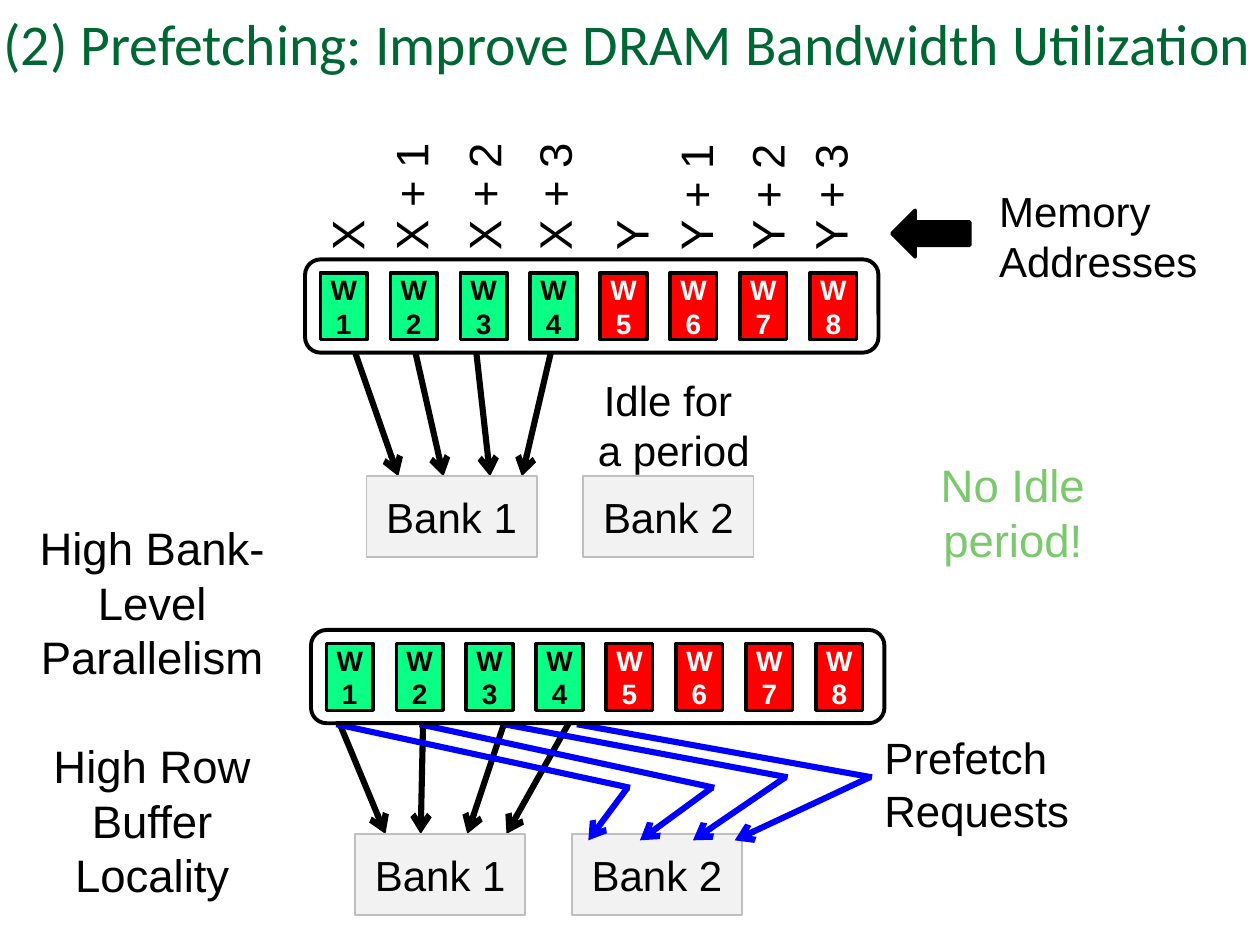
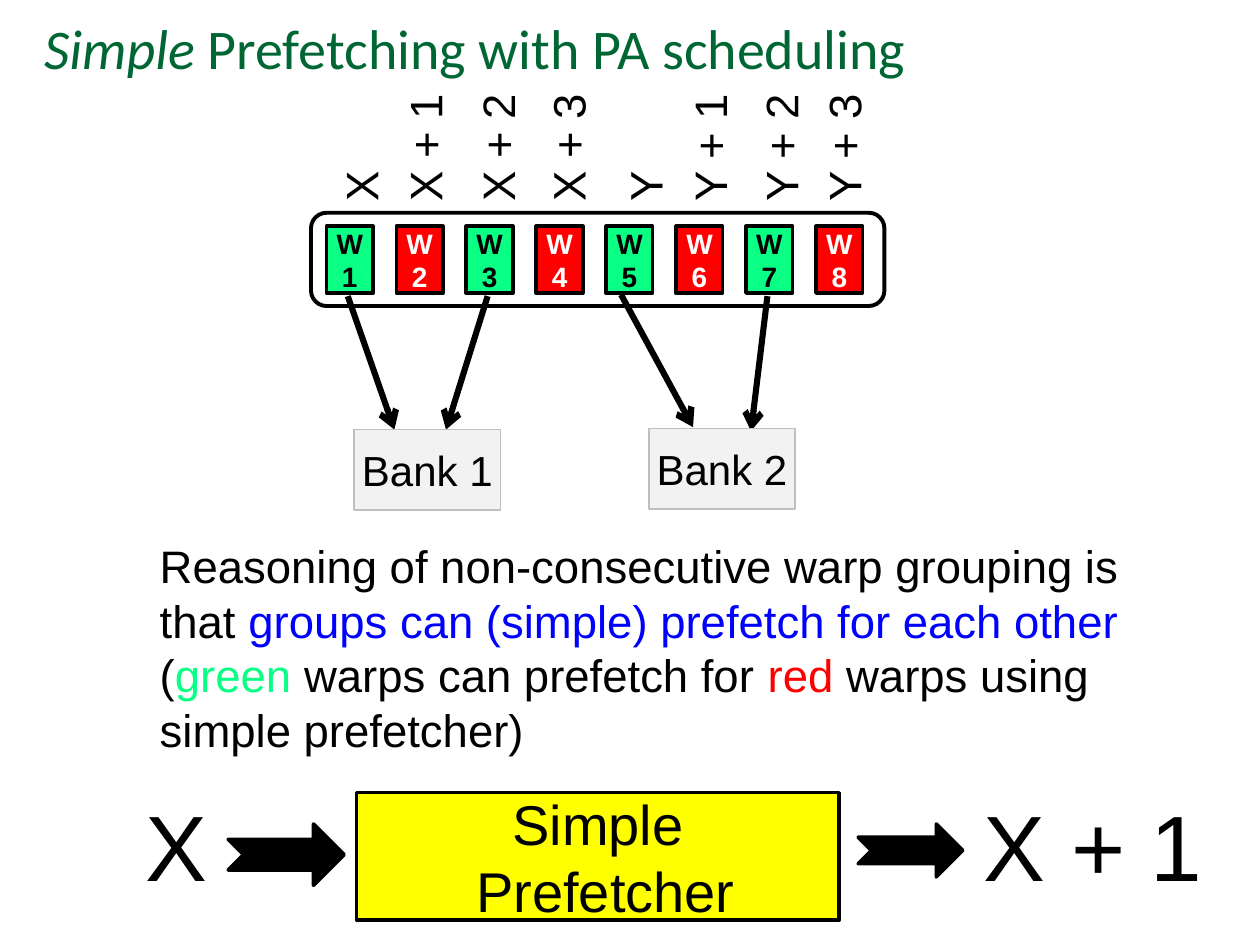
from dataclasses import dataclass
from typing import NamedTuple

from lxml.etree import SubElement
from pptx import Presentation
from pptx.dml.color import RGBColor
from pptx.enum.shapes import MSO_CONNECTOR, MSO_SHAPE
from pptx.enum.text import MSO_ANCHOR as Anchor, PP_ALIGN as Align
from pptx.oxml.ns import qn
from pptx.shapes.autoshape import Shape
from pptx.slide import Slide
from pptx.util import Cm, Pt

BLACK = RGBColor(0x00, 0x00, 0x00)
WHITE = RGBColor(0xFF, 0xFF, 0xFF)
TITLE_GREEN = RGBColor(0x00, 0x66, 0x33)
WARP_GREEN = RGBColor(0x0A, 0xFF, 0x85)
WARP_RED = RGBColor(0xFF, 0x00, 0x00)
PREFETCH_BLUE = RGBColor(0x00, 0x00, 0xFF)
IDLE_GREEN = RGBColor(0x7A, 0xC9, 0x6C)
BANK_FILL = RGBColor(0xF2, 0xF2, 0xF2)
BANK_EDGE = RGBColor(0xBF, 0xBF, 0xBF)
YELLOW = RGBColor(0xFF, 0xFF, 0x00)

BODY_FONT = "Arial"
TITLE_FONT = "Calibri"
DEFAULT_INSETS = (0.25, 0.13)
TIGHT_INSETS = (0.13, 0.08)
BANK_HEIGHT = 1.63
WARP_COUNT = 8
WARP_PITCH = 1.41

ADDRESS_OFFSETS = {
    "X": 0, "X + 1": 1.29, "X + 2": 2.76, "X + 3": 4.18,
    "Y": 5.73, "Y + 1": 7.03, "Y + 2": 8.47, "Y + 3": 9.74,
}


class Box(NamedTuple):
    left: float
    top: float
    width: float
    height: float

    def lengths(self) -> list[Cm]:
        return [Cm(value) for value in self]


class Span(NamedTuple):
    text: str
    color: RGBColor | None = None
    italic: bool = False


class Arrow(NamedTuple):
    x1: float
    y1: float
    x2: float
    y2: float


@dataclass
class Style:
    size: float
    color: RGBColor = BLACK
    font: str = BODY_FONT
    bold: bool = False
    align: Align = Align.LEFT
    anchor: Anchor = Anchor.TOP
    insets: tuple[float, float] = DEFAULT_INSETS
    gap: float = 0


@dataclass
class Label:
    box: Box
    paragraphs: list[str | list[Span]]
    style: Style


def write(shape: Shape, paragraphs: list[str | list[Span]], style: Style) -> None:
    frame = shape.text_frame
    frame.word_wrap = True
    frame.vertical_anchor = style.anchor
    frame.margin_left = frame.margin_right = Cm(style.insets[0])
    frame.margin_top = frame.margin_bottom = Cm(style.insets[1])
    for index, content in enumerate(paragraphs):
        paragraph = frame.add_paragraph() if index else frame.paragraphs[0]
        paragraph.alignment = style.align
        if index and style.gap:
            paragraph.space_before = Pt(style.gap)
        font = paragraph.font
        font.name, font.size, font.bold = style.font, Pt(style.size), style.bold
        font.color.rgb = style.color
        spans = [Span(content)] if isinstance(content, str) else content
        for span in spans:
            run = paragraph.add_run()
            run.text = span.text
            if span.color is not None:
                run.font.color.rgb = span.color
            if span.italic:
                run.font.italic = True


def draw_label(slide: Slide, label: Label) -> Shape:
    holder = slide.shapes.add_textbox(*label.box.lengths())
    write(holder, label.paragraphs, label.style)
    return holder


def draw_shape(slide: Slide, preset: MSO_SHAPE, box: Box, fill: RGBColor,
               edge: RGBColor = BLACK, weight: float = 2) -> Shape:
    shape = slide.shapes.add_shape(preset, *box.lengths())
    shape.shadow.inherit = False
    shape.fill.solid()
    shape.fill.fore_color.rgb = fill
    shape.line.color.rgb = edge
    shape.line.width = Pt(weight)
    return shape


def draw_line(slide: Slide, arrow: Arrow, color: RGBColor = BLACK, head: bool = True) -> None:
    ends = [Cm(value) for value in arrow]
    connector = slide.shapes.add_connector(MSO_CONNECTOR.STRAIGHT, *ends)
    connector.line.color.rgb = color
    connector.line.width = Pt(3.5)
    properties = connector._element.spPr
    if head:
        SubElement(properties.find(qn("a:ln")), qn("a:tailEnd"), type="arrow")
    SubElement(properties, qn("a:effectLst"))


def draw_title(slide: Slide, box: Box, spans: list[Span], size: float) -> None:
    draw_label(slide, Label(box, [spans], Style(size, TITLE_GREEN, TITLE_FONT)))


def draw_bank(slide: Slide, number: int, left: float, top: float, width: float) -> None:
    bank = draw_shape(slide, MSO_SHAPE.RECTANGLE, Box(left, top, width, BANK_HEIGHT),
                      BANK_FILL, BANK_EDGE, 1)
    write(bank, [f"Bank {number}"],
          Style(24, align=Align.CENTER, anchor=Anchor.MIDDLE, insets=(0, 0)))


def draw_warp_queue(slide: Slide, left: float, top: float, green_warps: set[int]) -> None:
    draw_shape(slide, MSO_SHAPE.ROUNDED_RECTANGLE, Box(left, top, 11.56, 1.88), WHITE, weight=2.25)
    for index in range(WARP_COUNT):
        number = index + 1
        is_green = number in green_warps
        warp = draw_shape(slide, MSO_SHAPE.RECTANGLE,
                          Box(left + 0.31 + index * WARP_PITCH, top + 0.27, 0.94, 1.35),
                          WARP_GREEN if is_green else WARP_RED)
        write(warp, [f"W{number}"],
              Style(16, BLACK if is_green else WHITE, bold=True, align=Align.CENTER,
                    anchor=Anchor.MIDDLE, insets=TIGHT_INSETS))


def draw_addresses(slide: Slide, first_center: float, bottom: float) -> None:
    height = 1.24
    for address, offset in ADDRESS_OFFSETS.items():
        length = 2.01 if address == "X" else 2.64
        box = Box(first_center + offset - length / 2, bottom - (length + height) / 2, length, height)
        label = draw_label(slide, Label(box, [address], Style(26, insets=TIGHT_INSETS)))
        label.rotation = 270


def build_bandwidth_slide(slide: Slide) -> None:
    idle_requests = [(7.09, 8.03), (8.33, 8.94), (9.58, 9.88), (11.15, 10.52)]
    for start, end in idle_requests:
        draw_line(slide, Arrow(start, 6.91, end, 9.6))
    for number, left in enumerate((7.39, 11.76), 1):
        draw_bank(slide, number, left, 9.6, 3.43)
    draw_addresses(slide, 6.97, 5.18)
    draw_shape(slide, MSO_SHAPE.LEFT_ARROW, Box(17.98, 4.24, 1.57, 0.94), BLACK)
    draw_title(slide, Box(-0.18, 0.03, 25.83, 2.11),
               [Span("(2) Prefetching: Improve DRAM Bandwidth Utilization")], 33)
    draw_warp_queue(slide, 6.15, 5.23, {1, 2, 3, 4})

    demand_requests = [(6.81, 7.77), (10.19, 9.42), (11.51, 10.21), (8.53, 8.48)]
    for start, end in demand_requests:
        draw_line(slide, Arrow(start, 14.5, end, 16.81))
    for number, left in enumerate((7.16, 11.53), 1):
        draw_bank(slide, number, left, 16.81, 3.43)
    prefetches = [
        (6.78, 12.7, 15.88, 11.86),
        (8.46, 14.4, 15.88, 12.9),
        (10.16, 15.88, 15.67, 13.97),
        (11.63, 17.58, 15.67, 14.81),
    ]
    for start, bend_x, bend_y, end in prefetches:
        draw_line(slide, Arrow(start, 14.6, bend_x, bend_y), PREFETCH_BLUE, head=False)
        draw_line(slide, Arrow(bend_x - 0.05, bend_y, end, 16.94), PREFETCH_BLUE)
    draw_warp_queue(slide, 6.27, 12.7, {1, 2, 3, 4})

    labels = [
        Label(Box(19.89, 3.61, 4.88, 2.31), ["Memory Addresses"], Style(24)),
        Label(Box(8.71, 7.42, 9.75, 2.31), ["Idle for ", "a period"],
              Style(24, align=Align.CENTER)),
        Label(Box(17.58, 14.61, 7.82, 2.39), ["Prefetch", "Requests"], Style(25)),
        Label(Box(17.98, 9.09, 4.88, 2.57), ["No Idle period!"],
              Style(26, IDLE_GREEN, align=Align.CENTER)),
        Label(Box(0.43, 10.36, 5.28, 8.03),
              ["High Bank-Level Parallelism", "High Row Buffer Locality"],
              Style(26, align=Align.CENTER, gap=31)),
    ]
    for label in labels:
        draw_label(slide, label)


def build_scheduling_slide(slide: Slide) -> None:
    draw_title(slide, Box(0.64, 0.15, 24.77, 2.11),
               [Span("Simple ", italic=True), Span("Prefetching with PA scheduling")], 32)
    draw_warp_queue(slide, 6.27, 4.29, {1, 3, 5, 7})
    requests = [
        Arrow(7.01, 5.97, 7.95, 8.66),
        Arrow(9.83, 5.97, 8.99, 8.66),
        Arrow(12.52, 5.94, 13.97, 8.61),
        Arrow(15.47, 5.97, 15.14, 8.69),
    ]
    for request in requests:
        draw_line(slide, request)
    draw_bank(slide, 1, 7.14, 8.66, 2.95)
    draw_bank(slide, 2, 13.08, 8.64, 2.95)
    draw_addresses(slide, 7.25, 4.19)

    prefetcher = draw_shape(slide, MSO_SHAPE.RECTANGLE, Box(7.19, 15.98, 9.73, 2.57), YELLOW)
    write(prefetcher, ["Simple", " Prefetcher"],
          Style(32, align=Align.CENTER, anchor=Anchor.MIDDLE))
    for flow in (Box(4.6, 16.61, 2.34, 1.24), Box(17.3, 16.61, 2.11, 1.07)):
        draw_shape(slide, MSO_SHAPE.NOTCHED_RIGHT_ARROW, flow, BLACK)

    reasoning = [
        [Span("Reasoning of non-consecutive warp grouping is that "),
         Span("groups can (simple) prefetch for each other", PREFETCH_BLUE)],
        [Span("("), Span("green ", WARP_GREEN), Span("warps can prefetch for "),
         Span("red ", WARP_RED), Span("warps using simple prefetcher)")],
    ]
    labels = [
        Label(Box(2.69, 15.77, 4.88, 2.51), ["X"], Style(53)),
        Label(Box(19.58, 15.77, 6.38, 2.51), ["X + 1"], Style(53)),
        Label(Box(2.97, 10.72, 20.96, 4.7), reasoning, Style(26)),
    ]
    for label in labels:
        draw_label(slide, label)


def main() -> None:
    deck = Presentation()
    deck.slide_width, deck.slide_height = Cm(25.4), Cm(19.05)
    blank = deck.slide_layouts[6]
    for build in (build_bandwidth_slide, build_scheduling_slide):
        build(deck.slides.add_slide(blank))
    deck.save("out.pptx")


if __name__ == "__main__":
    main()
